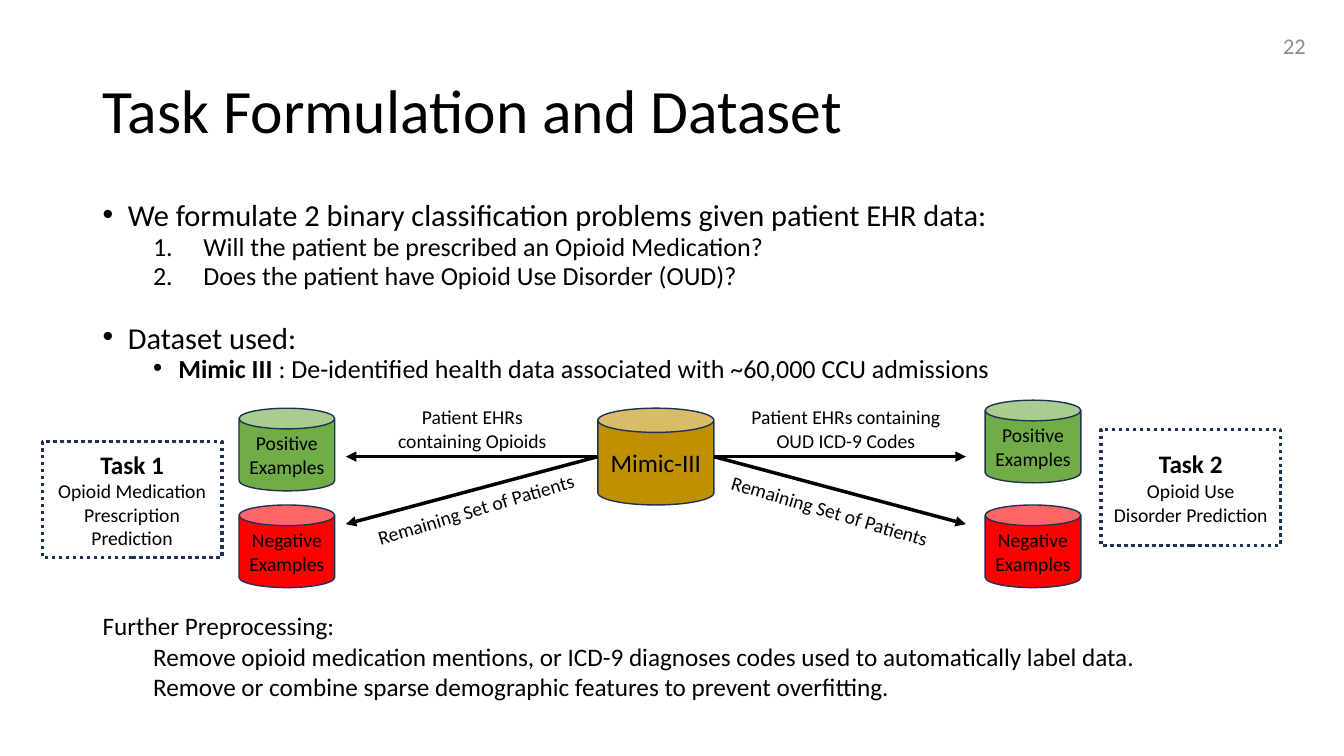
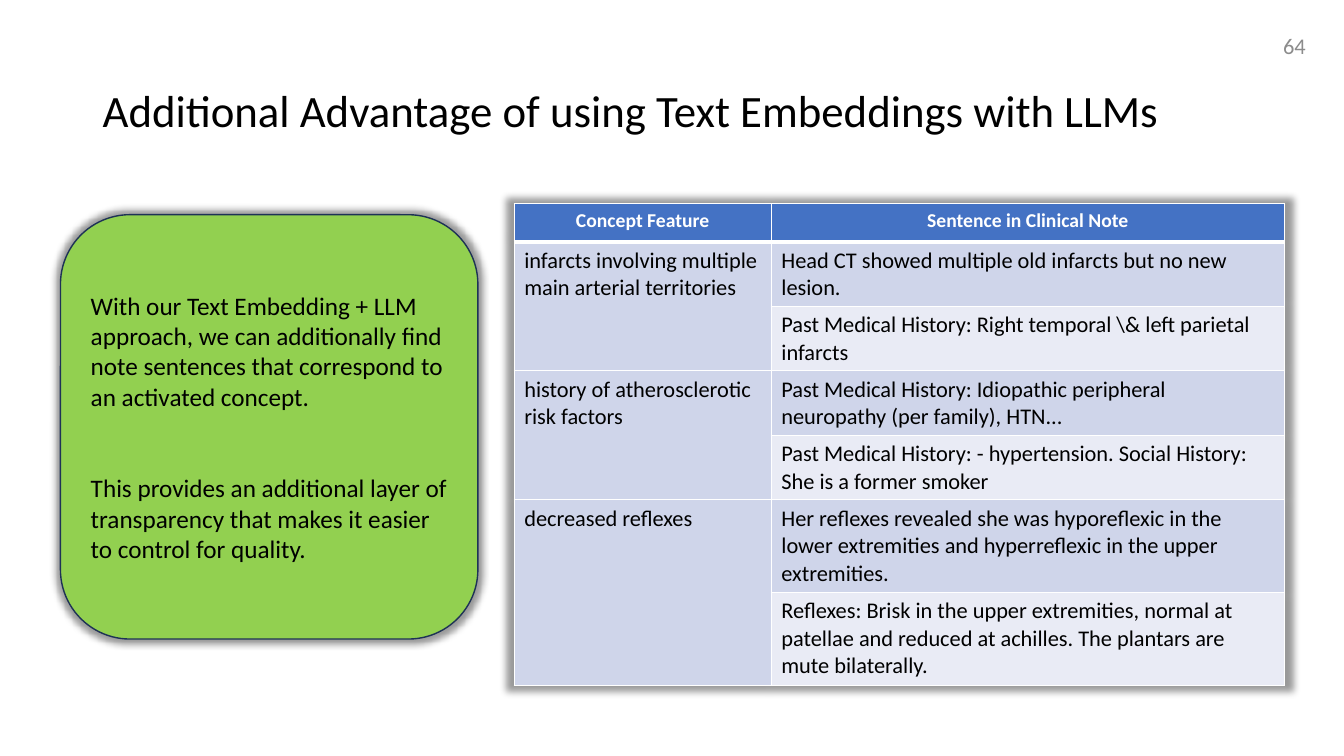
from lxml.etree import SubElement
from pptx import Presentation
from pptx.dml.color import RGBColor
from pptx.enum.dml import MSO_LINE
from pptx.enum.shapes import MSO_CONNECTOR, MSO_SHAPE
from pptx.enum.text import MSO_ANCHOR, PP_ALIGN
from pptx.oxml.ns import qn
from pptx.util import Inches, Pt

FONT = "Calibri"
COLORS = {
    "ink": "000000", "paper": "FFFFFF", "number": "8C8C8C", "outline": "1E3256",
    "source": "BF9000", "positive": "70AD47", "negative": "FF0000",
    "callout": "92D050", "header": "4472C4", "band": "CFD5EA", "light": "E9EBF5",
}
WIDTH, HEIGHT = 13.33, 7.5
LEFT, CONTENT = 0.92, 11.5

MAIN = dict(size=21.7, spacing=0.7, indent=0.25, hang=0.25, bullet="•")
NUMBERED = dict(size=18.6, spacing=0.7, indent=1, hang=0.5, bullet="number", before=5)
PROBLEMS = [
    dict(MAIN, text="We formulate 2 binary classification problems given patient EHR data:"),
    dict(NUMBERED, text="Will the patient be prescribed an Opioid Medication?"),
    dict(NUMBERED, text="Does the patient have Opioid Use Disorder (OUD)?"),
    dict(MAIN, text="Dataset used:", before=28),
    dict(NUMBERED, indent=0.75, hang=0.25, bullet="•",
         text=[("Mimic III", True),
               (" : De-identified health data associated with ~60,000 CCU admissions", False)]),
]
PREPROCESSING = [
    dict(text="Further Preprocessing:", indent=0.5),
    dict(text="Remove opioid medication mentions, or ICD-9 diagnoses codes used to automatically label data.",
         indent=1),
    dict(text="Remove or combine sparse demographic features to prevent overfitting.", indent=1),
]
TASKS = [
    dict(name="Task 1", goal="Opioid Medication Prescription Prediction", frame=(0.42, 4.38),
         cans=2.37, positive_top=4.05, start=5.93, end=3.43,
         label="Patient EHRs containing Opioids", label_at=(3.66, 2.05),
         rest_at=(3.57, 4.88), angle=-16.6),
    dict(name="Task 2", goal="Opioid Use Disorder Prediction", frame=(10.92, 4.26),
         cans=9.77, positive_top=3.97, start=7.08, end=9.58,
         label="Patient EHRs containing OUD ICD-9 Codes", label_at=(7.19, 2.4),
         rest_at=(7.08, 4.9), angle=16.6),
]
NEGATIVE_TOP, ARROW_TOP, ARROW_LOW = 5.01, 4.53, 5.2

CALLOUT = [
    dict(text="With our Text Embedding + LLM approach, we can additionally find note sentences "
              "that correspond to an activated concept.", after=44),
    dict(text="This provides an additional layer of transparency that makes it easier to control for quality."),
]
HEADERS = ["Concept Feature", "Sentence in Clinical Note"]
CONCEPTS = [
    ("infarcts involving multiple main arterial territories", 0.64, [
        "Head CT showed multiple old infarcts but no new lesion.",
        r"Past Medical History: Right temporal \& left parietal infarcts"]),
    ("history of atherosclerotic risk factors", 0.64, [
        "Past Medical History: Idiopathic peripheral neuropathy (per family), HTN...",
        "Past Medical History: - hypertension. Social History: She is a former smoker"]),
    ("decreased reflexes", 0.92, [
        "Her reflexes revealed she was hyporeflexic in the lower extremities and hyperreflexic "
        "in the upper extremities.",
        "Reflexes: Brisk in the upper extremities, normal at patellae and reduced at achilles. "
        "The plantars are mute bilaterally."]),
]
COLUMNS, HEADER_ROW = (2.55, 5.09), 0.38


def color(name):
    return RGBColor.from_string(COLORS[name])


def add_xml(parent, tag, **attributes):
    return SubElement(parent, qn(tag), {key: str(value) for key, value in attributes.items()})


def write(frame, content, size=18, ink="ink", bold=False, align=PP_ALIGN.LEFT,
          anchor=MSO_ANCHOR.TOP, spacing=None):
    frame.word_wrap = True
    frame.vertical_anchor = anchor
    items = [dict(text=content)] if isinstance(content, str) else content
    for index, item in enumerate(items):
        para = frame.paragraphs[0] if index == 0 else frame.add_paragraph()
        para.alignment = align
        line_spacing = item.get("spacing", spacing)
        if line_spacing:
            para.line_spacing = line_spacing
        if "before" in item:
            para.space_before = Pt(item["before"])
        if "after" in item:
            para.space_after = Pt(item["after"])
        properties = para._p.get_or_add_pPr()
        if "indent" in item:
            properties.set("marL", str(Inches(item["indent"])))
            properties.set("indent", str(-Inches(item.get("hang", 0))))
        bullet = item.get("bullet")
        if bullet == "number":
            add_xml(properties, "a:buAutoNum", type="arabicPeriod")
        elif bullet:
            add_xml(properties, "a:buFont", typeface="Arial")
            add_xml(properties, "a:buChar", char=bullet)
        text = item["text"]
        spans = [(text, item.get("bold", bold))] if isinstance(text, str) else text
        for words, strong in spans:
            span = para.add_run()
            span.text = words
            span.font.name = FONT
            span.font.size = Pt(item.get("size", size))
            span.font.bold = strong
            span.font.color.rgb = color(ink)


def add_text(page, area, content, rotation=0, side_margin=0.1, **style):
    box = page.shapes.add_textbox(*map(Inches, area))
    box.rotation = rotation
    box.text_frame.margin_left = box.text_frame.margin_right = Inches(side_margin)
    write(box.text_frame, content, **style)


def add_box(page, kind, area, fill, content, weight=1, dash=None, **style):
    box = page.shapes.add_shape(kind, *map(Inches, area))
    box.shadow.inherit = False
    box.fill.solid()
    box.fill.fore_color.rgb = color(fill)
    box.line.color.rgb = color("outline")
    box.line.width = Pt(weight)
    if dash:
        box.line.dash_style = dash
    write(box.text_frame, content, anchor=MSO_ANCHOR.MIDDLE, **style)
    return box


def add_arrow(page, start, end):
    arrow = page.shapes.add_connector(MSO_CONNECTOR.STRAIGHT, *map(Inches, start + end))
    arrow.line.color.rgb = color("ink")
    arrow.line.width = Pt(2.5)
    add_xml(arrow.line._get_or_add_ln(), "a:tailEnd", type="triangle")
    add_xml(arrow._element.spPr, "a:effectLst")


def add_glow_shadow(effects):
    shadow = add_xml(effects, "a:outerShdw", blurRad=Pt(5), dist=0, algn="ctr", rotWithShape=0,
                     sx=102000, sy=102000)
    tint = add_xml(shadow, "a:srgbClr", val=COLORS["ink"])
    add_xml(tint, "a:alpha", val=40000)


def add_page(deck, title, number, title_size):
    page = deck.slides.add_slide(deck.slide_layouts[6])
    add_text(page, (LEFT, 0.4, CONTENT, 1.45), title, size=title_size, spacing=0.9,
             anchor=MSO_ANCHOR.MIDDLE)
    add_text(page, (10.05, 0.25, 3, 0.4), number, size=16, ink="number",
             align=PP_ALIGN.RIGHT, anchor=MSO_ANCHOR.MIDDLE)
    return page


def add_task(page, task):
    centred = dict(size=14, align=PP_ALIGN.CENTER)
    for low in (ARROW_TOP, ARROW_LOW):
        add_arrow(page, (task["start"], ARROW_TOP), (task["end"], low))
    for kind, top in (("positive", task["positive_top"]), ("negative", NEGATIVE_TOP)):
        add_box(page, MSO_SHAPE.CAN, (task["cans"], top, 0.95, 0.82), kind,
                f"{kind.title()} Examples", **centred)
    label_left, label_width = task["label_at"]
    add_text(page, (label_left, 3.97, label_width, 0.57), task["label"], **centred)
    add_text(page, (*task["rest_at"], 2.3, 0.34), "Remaining Set of Patients",
             rotation=task["angle"], side_margin=0, **centred)
    add_box(page, MSO_SHAPE.RECTANGLE, (*task["frame"], 1.78, 1.15), "paper",
            [dict(text=task["name"], size=18, bold=True), dict(text=task["goal"])],
            weight=2.5, dash=MSO_LINE.ROUND_DOT, **centred)


def style_cell(cell, fill, top=1, bottom=1):
    properties = cell._tc.get_or_add_tcPr()
    for edge, weight in (("L", 1), ("R", 1), ("T", top), ("B", bottom)):
        line = add_xml(properties, f"a:ln{edge}", w=Pt(weight))
        add_xml(add_xml(line, "a:solidFill"), "a:srgbClr", val=COLORS["paper"])
    cell.fill.solid()
    cell.fill.fore_color.rgb = color(fill)


def add_concept_table(page):
    heights = [HEADER_ROW] + [height for _, height, notes in CONCEPTS for _ in notes]
    table = page.shapes.add_table(len(heights), len(COLUMNS), Inches(5.1), Inches(2.02),
                                  Inches(sum(COLUMNS)), Inches(sum(heights))).table
    table.horz_banding = False
    for column, width in zip(table.columns, COLUMNS):
        column.width = Inches(width)
    for row, height in zip(table.rows, heights):
        row.height = Inches(height)
    for index, header in enumerate(HEADERS):
        style_cell(table.cell(0, index), "header", bottom=3)
        write(table.cell(0, index).text_frame, header, size=14, ink="paper", bold=True,
              align=PP_ALIGN.CENTER)
    first = 1
    for concept, _, notes in CONCEPTS:
        for offset, note in enumerate(notes):
            row = first + offset
            edge = 3 if row == 1 else 1
            style_cell(table.cell(row, 0), "band", top=edge)
            style_cell(table.cell(row, 1), "light" if offset else "band", top=edge)
            write(table.cell(row, 1).text_frame, note, size=16)
        write(table.cell(first, 0).text_frame, concept, size=16)
        table.cell(first, 0).merge(table.cell(row, 0))
        first += len(notes)
    properties = table._tbl.tblPr
    effects = add_xml(properties, "a:effectLst")
    add_glow_shadow(effects)
    properties.insert(0, effects)


def build_task_page(deck):
    page = add_page(deck, "Task Formulation and Dataset", "22", 44)
    add_text(page, (LEFT, 2, CONTENT, 1.98), PROBLEMS)
    add_box(page, MSO_SHAPE.CAN, (5.93, 4.05, 1.15, 0.96), "source", "Mimic-III",
            align=PP_ALIGN.CENTER)
    for task in TASKS:
        add_task(page, task)
    add_text(page, (0.42, 6.01, CONTENT, 1.01), PREPROCESSING)


def build_advantage_page(deck):
    page = add_page(deck, "Additional Advantage of using Text Embeddings with LLMs", "64", 32)
    callout = add_box(page, MSO_SHAPE.ROUNDED_RECTANGLE, (0.6, 2.13, 4.14, 4.21), "callout", CALLOUT)
    add_glow_shadow(callout._element.spPr.find(qn("a:effectLst")))
    add_concept_table(page)


def main():
    deck = Presentation()
    deck.slide_width, deck.slide_height = Inches(WIDTH), Inches(HEIGHT)
    build_task_page(deck)
    build_advantage_page(deck)
    deck.save("out.pptx")


if __name__ == "__main__":
    main()
